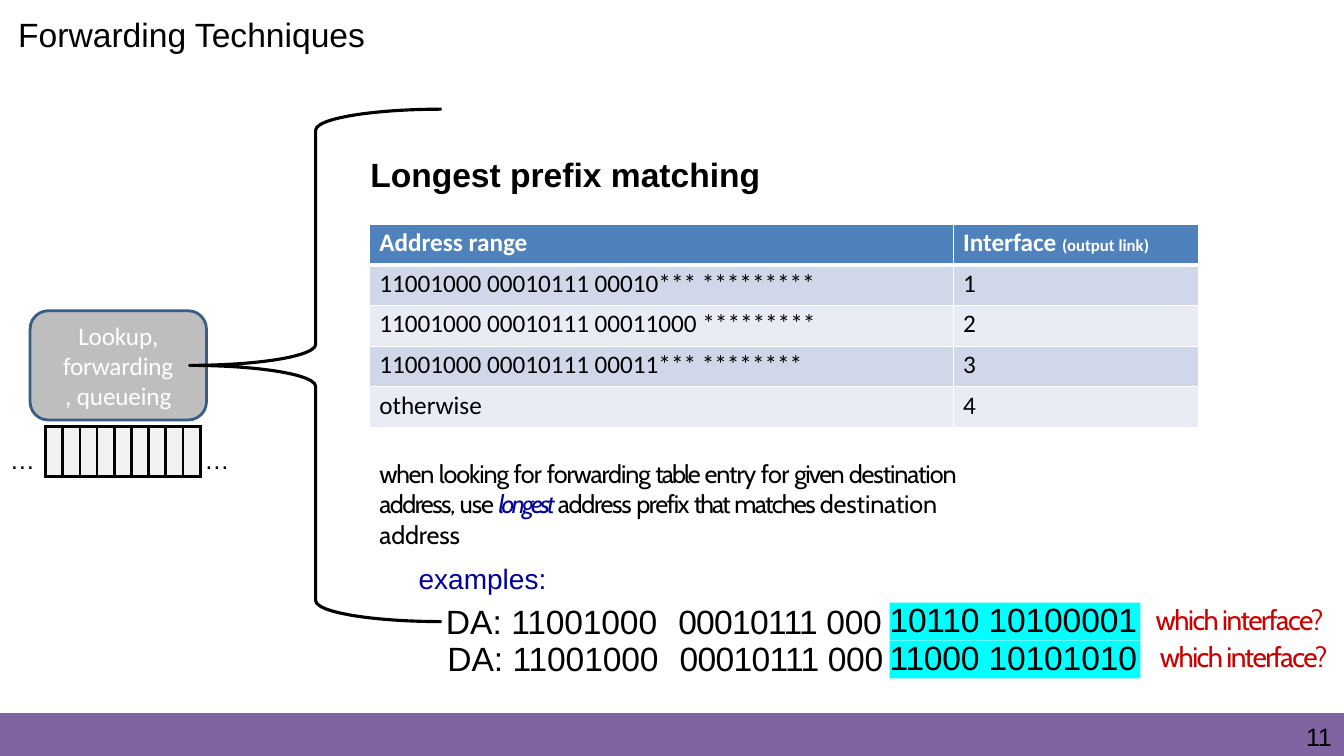
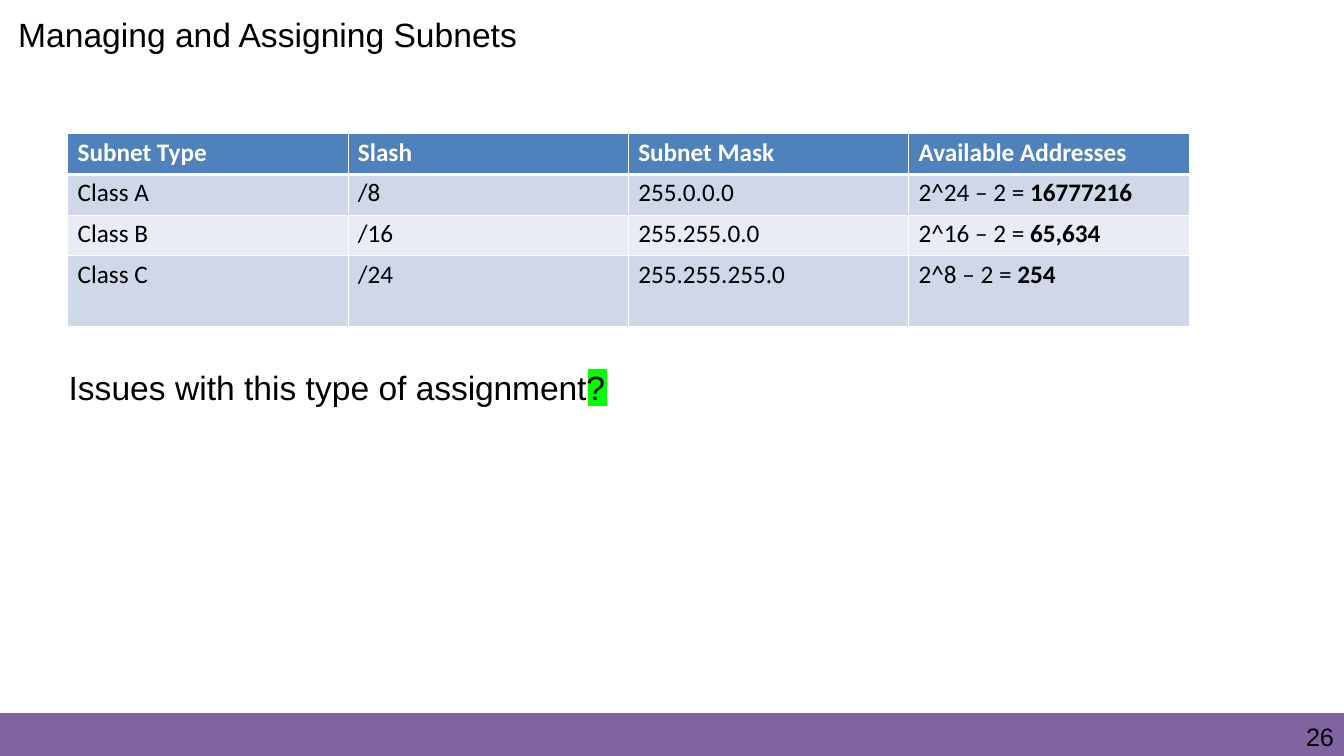
from lxml import etree
from pptx import Presentation
from pptx.dml.color import RGBColor
from pptx.enum import shapes, text
from pptx.oxml import ns
from pptx.util import Pt

BLACK = RGBColor(0x00, 0x00, 0x00)
WHITE = RGBColor(0xFF, 0xFF, 0xFF)
PURPLE = RGBColor(0x80, 0x63, 0xA1)
GRAY = RGBColor(0xBE, 0xBE, 0xBE)
SLOT = RGBColor(0xF1, 0xF1, 0xF1)
NAVY = RGBColor(0x38, 0x5D, 0x89)
BLUE = RGBColor(0x00, 0x00, 0x99)
RED = RGBColor(0xCC, 0x00, 0x00)
CYAN = RGBColor(0x00, 0xFF, 0xFF)
GREEN = RGBColor(0x00, 0xFF, 0x00)
HEADER = RGBColor(0x4F, 0x81, 0xBC)
BAND_DARK = RGBColor(0xD0, 0xD7, 0xE8)
BAND_LIGHT = RGBColor(0xE9, 0xEC, 0xF4)


def write(p, runs, **base):
    """Fill a paragraph; a run is a string or a (string, format) pair."""
    for run in [runs] if isinstance(runs, str) else runs:
        words, own = (run, {}) if isinstance(run, str) else run
        fmt = {"name": "Arial", "size": 24, "color": BLACK, **base, **own}
        r = p.add_run()
        r.text = words
        r.font.color.rgb = fmt.pop("color")
        r.font.size = Pt(fmt.pop("size"))
        r._r.get_or_add_rPr().set("spc", str(round(fmt.pop("spc", 0) * 100)))
        for key, value in fmt.items():
            setattr(r.font, key, value)


def label(s, x, y, w, h, runs, **base):
    """Add a text box and return its text frame."""
    tf = s.shapes.add_textbox(Pt(x), Pt(y), Pt(w), Pt(h)).text_frame
    tf.word_wrap = True
    tf.margin_left = tf.margin_right = tf.margin_bottom = 0
    tf.margin_top = Pt(2)
    write(tf.paragraphs[0], runs, **base)
    return tf


prs = Presentation()
prs.slide_width, prs.slide_height = Pt(960), Pt(540)
forwarding, subnets = [prs.slides.add_slide(prs.slide_layouts[6]) for _ in range(2)]

# Outlines: slide, kind, box, fill, line, line width
RECT = shapes.MSO_SHAPE.RECTANGLE
ROUNDED = shapes.MSO_SHAPE.ROUNDED_RECTANGLE
BRACE = shapes.MSO_SHAPE.LEFT_BRACE
for s, kind, box, fill, line, width in [
    (forwarding, RECT, (0, 510, 960, 30), PURPLE, PURPLE, 1),
    (subnets, RECT, (0, 510, 960, 30), PURPLE, PURPLE, 1),
    (forwarding, ROUNDED, (21.5, 222, 126, 78), GRAY, NAVY, 2),
    (forwarding, BRACE, (135.5, 78, 180, 366), None, BLACK, 2.25),
    (forwarding, RECT, (635.5, 430.5, 179, 27), CYAN, None, 0),
    (forwarding, RECT, (635.5, 457.5, 179, 27), CYAN, None, 0),
    (subnets, RECT, (420, 263.5, 13.5, 26.5), GREEN, None, 0),
]:
    sp = s.shapes.add_shape(kind, *map(Pt, box))
    sp.shadow.inherit = False
    if fill is None:
        sp.fill.background()
    else:
        sp.fill.solid()
        sp.fill.fore_color.rgb = fill
    if line is None:
        sp.line.fill.background()
    else:
        sp.line.color.rgb = line
        sp.line.width = Pt(width)
    if kind == ROUNDED:
        tf = sp.text_frame
        tf.word_wrap = True
        tf.vertical_anchor = text.MSO_ANCHOR.MIDDLE
        tf.margin_left = tf.margin_right = Pt(19)
        tf.margin_top = tf.margin_bottom = 0
        tf.paragraphs[0].alignment = text.PP_ALIGN.CENTER
        write(tf.paragraphs[0], "Lookup, forwarding, queueing",
              name="Calibri", size=18, color=WHITE, spc=-0.1)

# Titles and page numbers
for s, title, number in [
    (forwarding, "Forwarding Techniques", "11"),
    (subnets, "Managing and Assigning Subnets", "26"),
]:
    label(s, 13, 8, 438, 35, title)
    label(s, 933, 513, 25, 22, number, size=18, spc=-0.2)

# Tables: slide, corner, column widths, row heights, rows, fills, border
BOLD = {"bold": True}
BANDS = [HEADER, BAND_DARK, BAND_LIGHT, BAND_DARK, BAND_LIGHT]
prefixes = [
    ["Address range", ["Interface ", ("(output link)", {"size": 12})]],
    ["11001000 00010111 00010*** *********", "1"],
    ["11001000 00010111 00011000 *********", "2"],
    ["11001000 00010111 00011*** ********", "3"],
    ["otherwise", "4"],
]
classes = [
    ["Subnet Type", "Slash", "Subnet Mask", "Available Addresses"],
    ["Class A", "/8", "255.0.0.0", ["2^24 – 2 = ", ("16777216", BOLD)]],
    ["Class B", "/16", "255.255.0.0", ["2^16 – 2 = ", ("65,634", BOLD)]],
    ["Class C", "/24", "255.255.255.0", ["2^8 – 2 = ", ("254", BOLD)]],
]
for s, x, y, widths, heights, rows, fills, edge, thin in [
    (forwarding, 32.5, 304.5, [12.3] * 9, [36], [[""] * 9], [SLOT], BLACK, 2.25),
    (forwarding, 264, 160, [417, 175.5], [29.1] * 5, prefixes, BANDS, WHITE, 1),
    (subnets, 48.5, 95.5, [200.25] * 4, [29.1] * 3 + [50.4], classes, BANDS, WHITE, 1),
]:
    tbl = s.shapes.add_table(len(rows), len(widths), Pt(x), Pt(y),
                             Pt(sum(widths)), Pt(sum(heights))).table
    tbl.first_row = tbl.horz_banding = False
    for column, width in zip(tbl.columns, widths):
        column.width = Pt(width)
    for i, row in enumerate(rows):
        tbl.rows[i].height = Pt(heights[i])
        for j, runs in enumerate(row):
            cell = tbl.cell(i, j)
            cell.margin_left, cell.margin_top = Pt(7), Pt(2.5)
            cell.margin_right = cell.margin_bottom = 0
            # A thicker rule parts the header from the body
            below = 3 if i == 0 and len(rows) > 1 else thin
            above = 3 if i == 1 else thin
            tcPr = cell._tc.get_or_add_tcPr()
            for side, width in zip("LRTB", (thin, thin, above, below)):
                ln = etree.SubElement(tcPr, ns.qn(f"a:ln{side}"), w=str(Pt(width)))
                solid = etree.SubElement(ln, ns.qn("a:solidFill"))
                etree.SubElement(solid, ns.qn("a:srgbClr"), val=str(edge))
            cell.fill.solid()
            cell.fill.fore_color.rgb = fills[i]
            if runs:
                write(cell.text_frame.paragraphs[0], runs, name="Calibri", size=18,
                      color=BLACK if i else WHITE, bold=i == 0)

# Dots on both sides of the queue
for x in (7, 146):
    label(forwarding, x, 315.5, 20, 24, "…", size=18)

# Longest prefix rule
label(forwarding, 264.5, 108, 280, 31, "Longest prefix matching", bold=True)
rule = [
    ("when ", -0.9), ("looking ", -0.8), ("for ", -0.6), ("forwarding ", -0.8),
    ("table ", -1.4), ("entry ", -0.8), ("for ", -0.5), ("given ", -1.2),
    ("destination ", -0.8), ("address, ", -1.1), ("use ", -0.8), ("longest ", -1.9),
    ("address ", -0.9), ("prefix ", -1), ("that ", -1.4), ("matches ", -1.1),
    ("destination address", -0.1),
]
runs = [(words, {"spc": spc}) for words, spc in rule]
runs[11][1].update(color=BLUE, italic=True)
tf = label(forwarding, 271, 325.5, 447.5, 99, runs, name="Cabin", size=18)
p = tf.add_paragraph()
p.space_before = Pt(8.7)
p._p.get_or_add_pPr().set("marL", str(Pt(28)))
write(p, "examples:", size=20, color=BLUE)

# Example addresses, one row each
for i, (first, second) in enumerate([("10110 ", "10100001"), ("11000 ", "10101010")]):
    drop = 27 * i
    tf = label(forwarding, 318.5 + i, 427 + drop, 317, 31,
               ["DA: ", ("11001000\t", {"spc": -0.1}),
                ("00010111 ", {"spc": -0.5}), ("000", {"spc": -0.2})])
    tabs = etree.SubElement(tf.paragraphs[0]._p.get_or_add_pPr(), ns.qn("a:tabLst"))
    etree.SubElement(tabs, ns.qn("a:tab"), pos=str(Pt(166)), algn="l")
    tf = label(forwarding, 635.5, 428.5 + drop, 179, 27,
               [(first, {"spc": -0.2}), (second, {"spc": -0.1})])
    tf.paragraphs[0].line_spacing = Pt(26.2)
    label(forwarding, 825.5 + 3 * i, 428 + drop, 131, 27, "which interface?",
          name="Cabin", size=20, color=RED, spc=-1.1)

# Closing question
label(subnets, 49, 260, 386, 31,
      ["Issues with this type of ", ("assignment?", {"spc": -0.1})])

prs.save("out.pptx")
